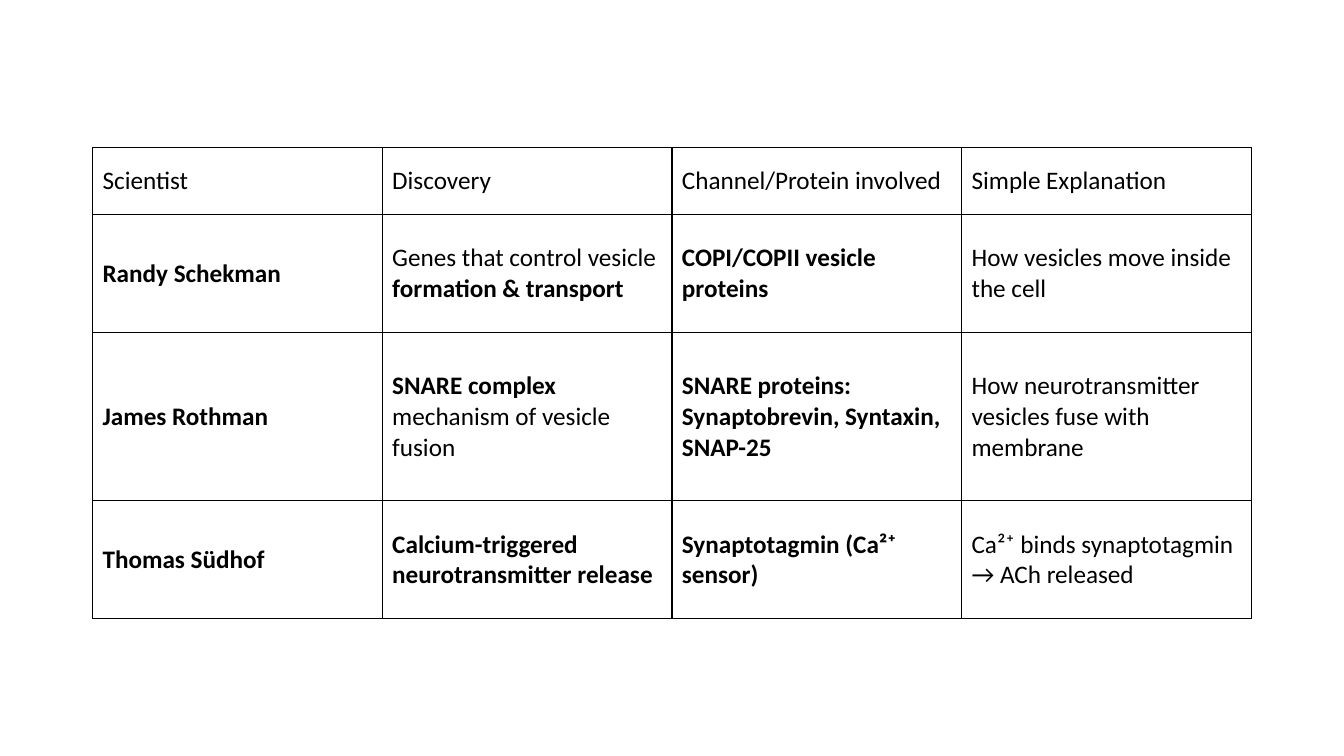
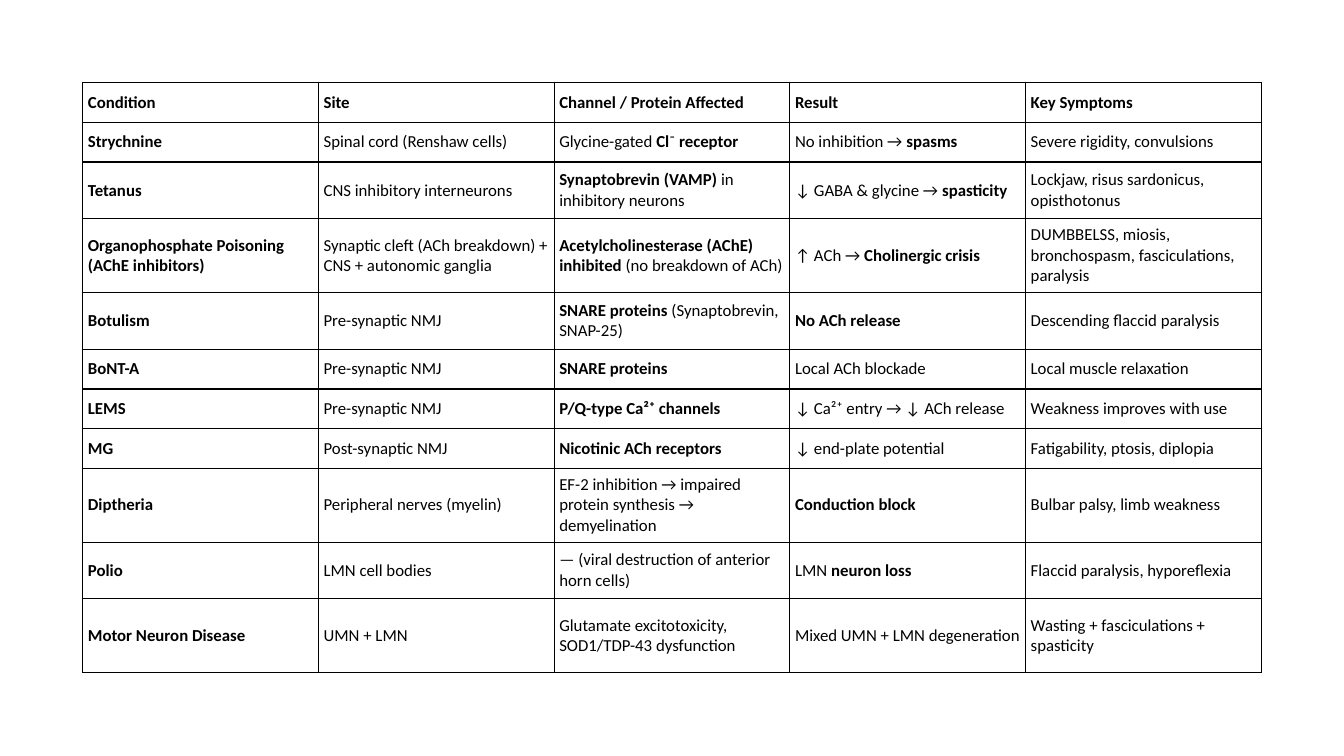
from lxml.etree import SubElement
from pptx import Presentation
from pptx.dml.color import RGBColor
from pptx.enum.text import MSO_ANCHOR
from pptx.oxml.ns import qn
from pptx.util import Cm, Pt

COLOURS = {"ink": "000000", "border": "000000", "paper": "FFFFFF"}
FONT = "Calibri"
SLIDE_WIDTH, SLIDE_HEIGHT = 33.87, 19.05

# Double asterisks enclose bold words
SCIENTISTS = [
    ["Scientist", "Discovery", "Channel/Protein involved", "Simple Explanation"],
    ["**Randy Schekman**", "Genes that control vesicle **formation & transport**",
     "**COPI/COPII vesicle proteins**", "How vesicles move inside the cell"],
    ["**James Rothman**", "**SNARE complex** mechanism of vesicle fusion",
     "**SNARE proteins: Synaptobrevin, Syntaxin, SNAP-25**",
     "How neurotransmitter vesicles fuse with membrane"],
    ["**Thomas Südhof**", "**Calcium-triggered neurotransmitter release**",
     "**Synaptotagmin (Ca²⁺ sensor)**", "Ca²⁺ binds synaptotagmin → ACh released"],
]

CONDITIONS = [
    ["**Condition**", "**Site**", "**Channel / Protein Affected**", "**Result**",
     "**Key Symptoms**"],
    ["**Strychnine**", "Spinal cord (Renshaw cells)", "Glycine-gated **Cl⁻ receptor**",
     "No inhibition → **spasms**", "Severe rigidity, convulsions"],
    ["**Tetanus**", "CNS inhibitory interneurons",
     "**Synaptobrevin (VAMP)** in inhibitory neurons",
     "↓ GABA & glycine → **spasticity**", "Lockjaw, risus sardonicus, opisthotonus"],
    ["**Organophosphate Poisoning (AChE inhibitors)**",
     "Synaptic cleft (ACh breakdown) + CNS + autonomic ganglia",
     "**Acetylcholinesterase (AChE) inhibited** (no breakdown of ACh)",
     "↑ ACh → **Cholinergic crisis**",
     "DUMBBELSS, miosis, bronchospasm, fasciculations, paralysis"],
    ["**Botulism**", "Pre-synaptic NMJ", "**SNARE proteins** (Synaptobrevin, SNAP-25)",
     "**No ACh release**", "Descending flaccid paralysis"],
    ["**BoNT-A**", "Pre-synaptic NMJ", "**SNARE proteins**", "Local ACh blockade",
     "Local muscle relaxation"],
    ["**LEMS**", "Pre-synaptic NMJ", "**P/Q-type Ca²⁺ channels**",
     "↓ Ca²⁺ entry → ↓ ACh release", "Weakness improves with use"],
    ["**MG**", "Post-synaptic NMJ", "**Nicotinic ACh receptors**",
     "↓ end-plate potential", "Fatigability, ptosis, diplopia"],
    ["**Diptheria**", "Peripheral nerves (myelin)",
     "EF-2 inhibition → impaired protein synthesis → demyelination",
     "**Conduction block**", "Bulbar palsy, limb weakness"],
    ["**Polio**", "LMN cell bodies", "— (viral destruction of anterior horn cells)",
     "LMN **neuron loss**", "Flaccid paralysis, hyporeflexia"],
    ["**Motor Neuron Disease**", "UMN + LMN",
     "Glutamate excitotoxicity, SOD1/TDP-43 dysfunction",
     "Mixed UMN + LMN degeneration", "Wasting + fasciculations + spasticity"],
]


class TableDeck:
    """Holds the shared style and the current slide."""

    def __init__(self):
        self.deck = Presentation()
        self.deck.slide_width = Cm(SLIDE_WIDTH)
        self.deck.slide_height = Cm(SLIDE_HEIGHT)
        self.page = None

    def add_page(self):
        self.page = self.deck.slides.add_slide(self.deck.slide_layouts[6])
        background = self.page.background.fill
        background.solid()
        background.fore_color.rgb = RGBColor.from_string(COLOURS["paper"])

    def add_grid(self, rows, top, column_width, row_lines, row_base, line_step,
                 size, insets):
        """Centre a table; each row's height follows its number of lines."""
        heights = [row_base + line_step * lines for lines in row_lines]
        width = column_width * len(rows[0])
        frame = self.page.shapes.add_table(
            len(rows), len(rows[0]), Cm((SLIDE_WIDTH - width) / 2), Cm(top),
            Cm(width), Cm(sum(heights)))
        table = frame.table
        table.first_row = table.horz_banding = False
        for column in table.columns:
            column.width = Cm(column_width)
        for row, height, texts in zip(table.rows, heights, rows):
            row.height = Cm(height)
            for cell, text in zip(row.cells, texts):
                self.fill_cell(cell, text, size, insets)

    def fill_cell(self, cell, text, size, insets):
        across, down = insets
        cell.margin_left = cell.margin_right = Cm(across)
        cell.margin_top = cell.margin_bottom = Cm(down)
        cell.vertical_anchor = MSO_ANCHOR.MIDDLE
        self.add_borders(cell)
        cell.fill.background()
        para = cell.text_frame.paragraphs[0]
        para.font.name = FONT
        para.font.size = Pt(size)
        para.font.color.rgb = RGBColor.from_string(COLOURS["ink"])
        for index, part in enumerate(text.split("**")):
            if part:
                span = para.add_run()
                span.text = part
                span.font.bold = index % 2 == 1

    def add_borders(self, cell):
        properties = cell._tc.get_or_add_tcPr()
        for side in ("a:lnL", "a:lnR", "a:lnT", "a:lnB"):
            line = SubElement(properties, qn(side), w=str(Pt(1)))
            fill = SubElement(line, qn("a:solidFill"))
            SubElement(fill, qn("a:srgbClr"), val=COLOURS["border"])


def main():
    builder = TableDeck()

    # Scientists and their discoveries
    builder.add_page()
    builder.add_grid(SCIENTISTS, top=3.71, column_width=7.3,
                     row_lines=[1, 2, 3, 2], row_base=0.43, line_step=1.27,
                     size=18, insets=(0.25, 0.13))

    # Conditions by site and symptoms
    builder.add_page()
    builder.add_grid(CONDITIONS, top=2.08, column_width=5.94,
                     row_lines=[1, 1, 2, 3, 2, 1, 1, 1, 3, 2, 3],
                     row_base=0.57, line_step=0.43,
                     size=12, insets=(0.13, 0.05))

    builder.deck.save("out.pptx")


if __name__ == "__main__":
    main()
